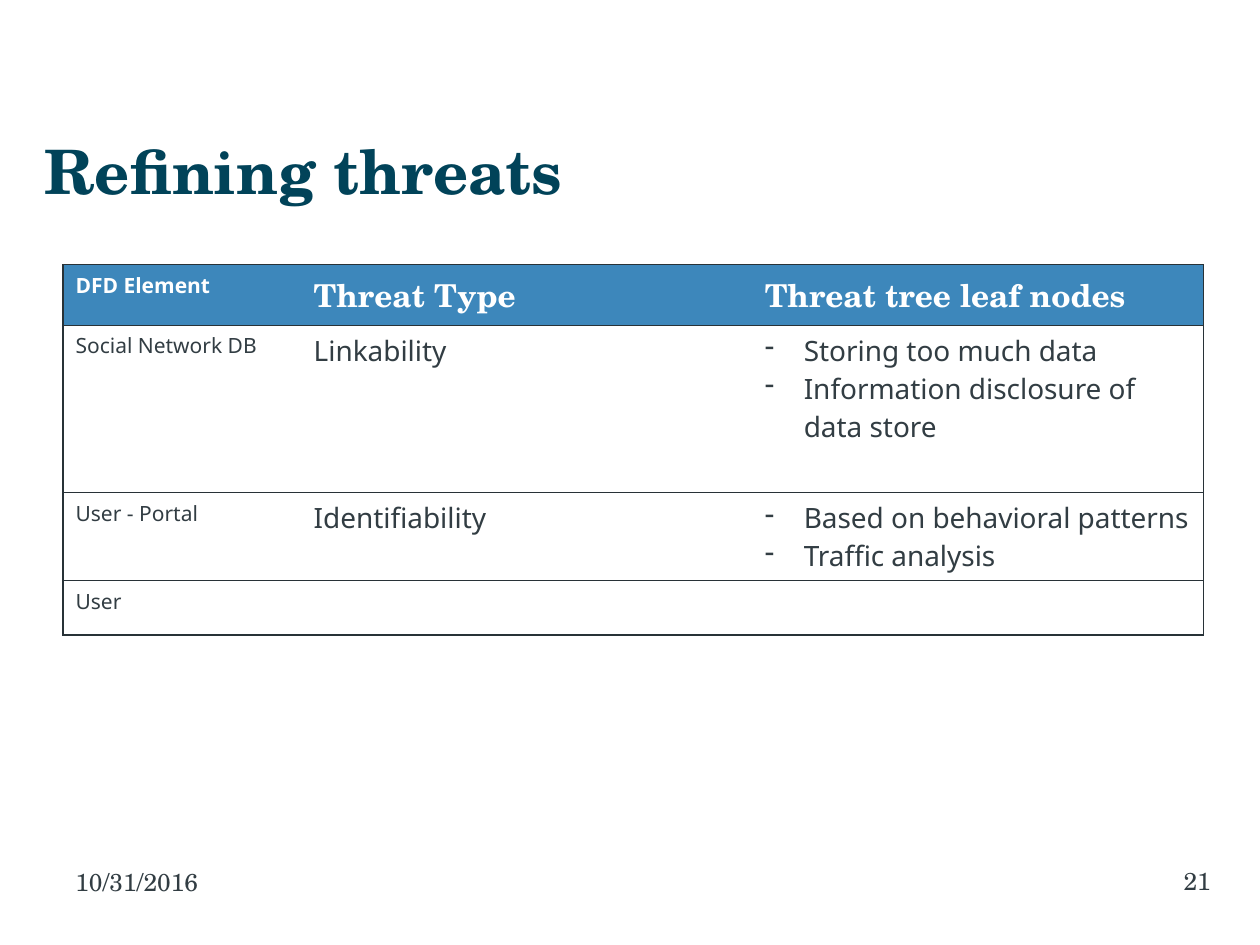
from pptx import Presentation
from pptx.dml.color import RGBColor
from pptx.enum.text import MSO_ANCHOR, PP_ALIGN
from pptx.oxml.ns import qn
from pptx.util import Inches, Pt
from lxml.etree import SubElement

SERIF, SANS = "TeX Gyre Schola", "Noto Sans"
INK, TITLE_COLOR, HEADER_FILL, RULE, WHITE = "323D43", "014359", "3D87BB", "283237", "FFFFFF"

TITLE, DATE, PAGE = "Refining threats", "10/31/2016", "21"
HEADER = ["DFD Element", "Threat Type", "Threat tree leaf nodes"]
THREATS = [
    ["Social Network DB", "Linkability",
     ["Storing too much data", "Information disclosure of data store"]],
    ["User - Portal", "Identifiability",
     ["Based on behavioral patterns", "Traffic analysis"]],
    ["User", "", []],
]
COLUMN_WIDTHS = [1.89, 3.58, 3.58]
ROW_HEIGHTS = [0.48, 1.33, 0.7, 0.43]


def color(hex_code):
    return RGBColor.from_string(hex_code)


def style(paragraph, size, font, ink, bold=False):
    for run in paragraph.runs:
        run.font.size, run.font.name, run.font.bold = Pt(size), font, bold
        run.font.color.rgb = color(ink)


def add_label(slide, text, box, size, ink, bold=False, align=PP_ALIGN.LEFT,
              left=0.1, right=0.1, anchor=MSO_ANCHOR.TOP):
    frame = slide.shapes.add_textbox(*map(Inches, box)).text_frame
    frame.word_wrap = True
    frame.margin_left, frame.margin_right = Inches(left), Inches(right)
    frame.vertical_anchor = anchor
    frame.text = text
    frame.paragraphs[0].alignment = align
    style(frame.paragraphs[0], size, SERIF, ink, bold)


def set_borders(cell, ruled_sides):
    """Rule the given sides and clear the others, ahead of the cell fill."""
    props = cell._tc.get_or_add_tcPr()
    for position, side in enumerate("LRTB"):
        line = SubElement(props, qn(f"a:ln{side}"), w=str(Pt(0.75)))
        props.insert(position, line)
        if side in ruled_sides:
            fill = SubElement(line, qn("a:solidFill"))
            SubElement(fill, qn("a:srgbClr"), val=RULE)
        else:
            SubElement(line, qn("a:noFill"))


def add_dash(paragraph):
    props = paragraph._p.get_or_add_pPr()
    props.set("marL", str(Inches(0.31)))
    props.set("indent", str(-Inches(0.31)))
    SubElement(props, qn("a:buChar"), char="-")


def fill_cell(cell, content, row, column):
    is_list = isinstance(content, list)
    cell.text = "\n".join(content) if is_list else content
    is_header, is_element = row == 0, column == 0
    font = SERIF if is_header and not is_element else SANS
    size = 12 if is_element else 18 if is_header else 16
    for paragraph in cell.text_frame.paragraphs:
        style(paragraph, size, font, WHITE if is_header else INK, is_header)
        if is_list and content:
            add_dash(paragraph)
    if is_header:
        cell.fill.solid()
        cell.fill.fore_color.rgb = color(HEADER_FILL)
        if not is_element:
            cell.vertical_anchor = MSO_ANCHOR.MIDDLE
    else:
        cell.fill.background()
    last_column = column == len(HEADER) - 1
    set_borders(cell, "TB" + "L" * is_element + "R" * last_column)


def add_threat_table(slide):
    rows = [HEADER] + THREATS
    table = slide.shapes.add_table(
        len(rows), len(HEADER), Inches(0.5), Inches(2.1),
        Inches(sum(COLUMN_WIDTHS)), Inches(sum(ROW_HEIGHTS))).table
    table.horz_banding = False
    for column, width in zip(table.columns, COLUMN_WIDTHS):
        column.width = Inches(width)
    for r, (contents, height) in enumerate(zip(rows, ROW_HEIGHTS)):
        table.rows[r].height = Inches(height)
        for c, content in enumerate(contents):
            fill_cell(table.cell(r, c), content, r, c)


def main():
    deck = Presentation()
    deck.slide_width, deck.slide_height = Inches(10), Inches(7.5)
    slide = deck.slides.add_slide(deck.slide_layouts[6])
    add_label(slide, TITLE, (0.35, 0.99, 9.29, 0.71), 35, TITLE_COLOR, bold=True,
              left=0, anchor=MSO_ANCHOR.MIDDLE)
    add_threat_table(slide)
    add_label(slide, DATE, (0.5, 6.83, 2.33, 0.52), 14, INK)
    add_label(slide, PAGE, (7.28, 6.82, 2.33, 0.52), 14, INK,
              align=PP_ALIGN.RIGHT, right=0)
    deck.save("out.pptx")


if __name__ == "__main__":
    main()
